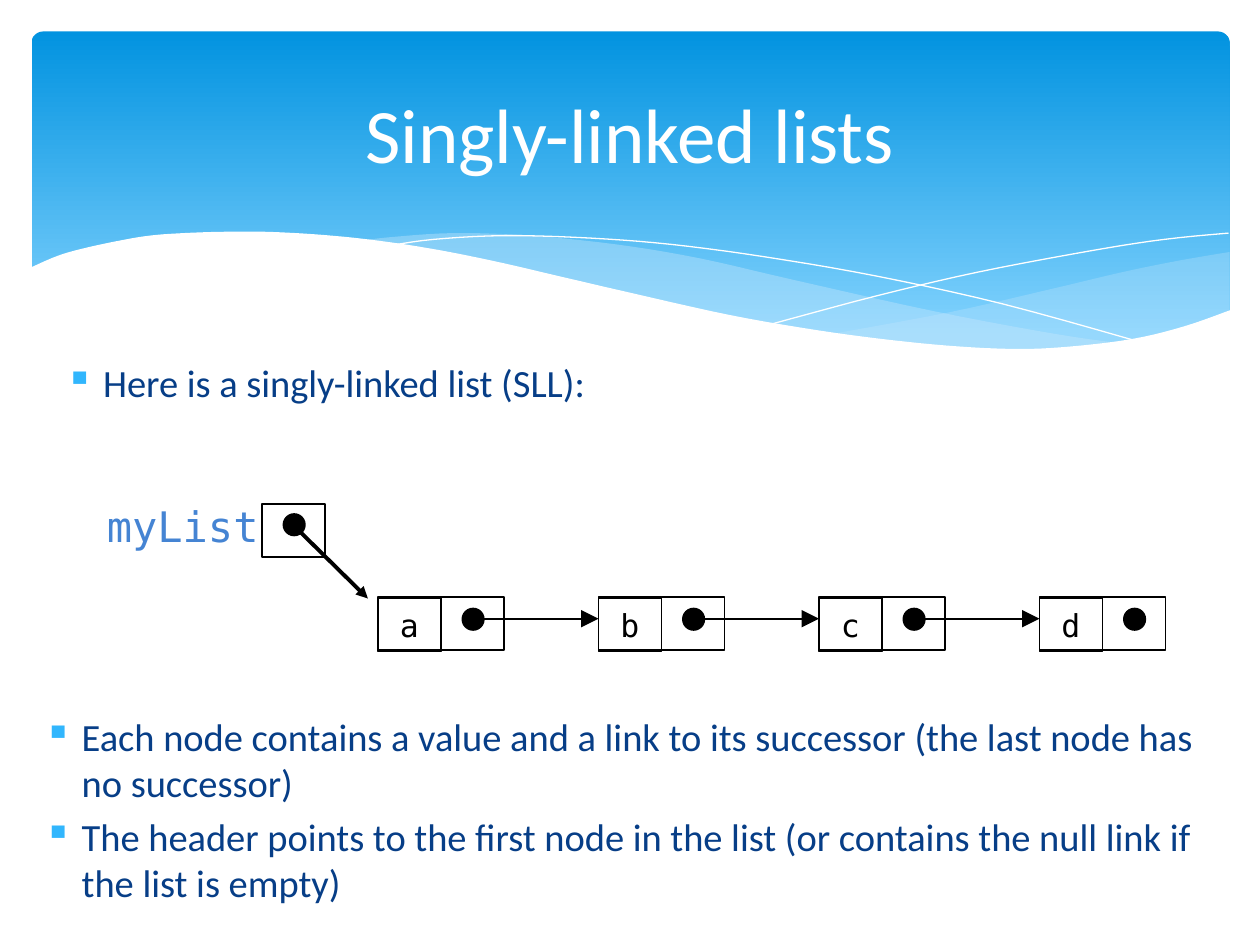
from lxml import etree
from pptx import Presentation
from pptx.dml.color import RGBColor
from pptx.enum.shapes import MSO_CONNECTOR, MSO_SHAPE
from pptx.enum.text import MSO_ANCHOR, PP_ALIGN
from pptx.oxml.ns import qn
from pptx.util import Emu, Pt

SCALE = 9144  # EMU in one px; 100 px to the inch
RECT, OVAL, ROUNDED = MSO_SHAPE.RECTANGLE, MSO_SHAPE.OVAL, MSO_SHAPE.ROUNDED_RECTANGLE
STRAIGHT = MSO_CONNECTOR.STRAIGHT
LEFT, CENTER = PP_ALIGN.LEFT, PP_ALIGN.CENTER
TOP, MIDDLE = MSO_ANCHOR.TOP, MSO_ANCHOR.MIDDLE
SANS, MONO = "Calibri", "DejaVu Sans Mono"
BLACK, WHITE, MIST, NAVY = "000000", "FFFFFF", "C6E7FC", "073E87"

TITLE = "Singly-linked lists"
BULLETS = [
    ((42, 280, 938, 78), ["Here is a singly-linked list (SLL):"]),
    ((25, 561, 938, 189), [
        "Each node contains a value and a link to its successor (the last node has no successor)",
        "The header points to the first node in the list (or contains the null link if the list is empty)",
    ]),
]
HEADER = "myList"
NODES = ["a", "b", "c", "d"]
NODE_LEFT, NODE_TOP, NODE_STEP = 300, 474, 175
CELL_WIDTH, CELL_HEIGHT, DOT = 50, 42, 17

# Each edge is a list of points that a smooth curve passes through.
RIGHT_SWELL = [
    ([(976, 200), (935, 207), (891, 216), (832, 230), (753, 248), (661, 265)], 29),
    ([(661, 265), (719, 272), (769, 277), (814, 278), (863, 275), (913, 267), (949, 257), (976, 247)], 29),
]
LONG_SWELL = [
    ([(893, 273), (837, 265), (741, 247), (629, 222), (555, 205), (489, 194),
      (420, 187), (361, 185), (313, 188), (286, 191)], 40),
    ([(286, 191), (342, 199), (404, 211), (491, 232), (584, 252), (650, 264),
      (722, 274), (785, 278), (838, 278), (893, 273)], 40),
]
CURVES = [
    [(309, 195), (344, 190), (401, 187), (469, 189), (533, 194), (608, 204),
     (695, 219), (795, 241), (907, 272)],
    [(613, 257), (695, 235), (776, 216), (866, 199), (924, 190), (975, 185)],
]
WHITE_EDGE = [
    (977, 246), (940, 259), (899, 269), (850, 275), (809, 277), (761, 275), (708, 270),
    (648, 262), (579, 250), (503, 233), (447, 220), (391, 207), (340, 197), (292, 190),
    (250, 186), (211, 184), (177, 184), (146, 185), (119, 187), (95, 191), (67, 197),
    (46, 203), (23, 213),
]


def px(value):
    return Emu(round(value * SCALE))


def colour(hex_string):
    return RGBColor.from_string(hex_string)


def smooth(points, steps=5):
    """Return a Catmull-Rom curve through the points, as short segments."""
    padded = [points[0], *points, points[-1]]
    curve = [points[0]]
    for a, b, c, d in zip(padded, padded[1:], padded[2:], padded[3:]):
        for step in range(1, steps + 1):
            t = step / steps
            curve.append(tuple(
                0.5 * (2 * q + (r - p) * t + (2 * p - 5 * q + 4 * r - s) * t ** 2
                       + (3 * q - p - 3 * r + s) * t ** 3)
                for p, q, r, s in zip(a, b, c, d)))
    return curve


def paint(shape, fill=None, line=None, width=1.0, opacity=100):
    shape.shadow.inherit = False
    if fill:
        shape.fill.solid()
        shape.fill.fore_color.rgb = colour(fill)
        if opacity < 100:
            tint = shape.fill._xPr.find(".//" + qn("a:srgbClr"))
            etree.SubElement(tint, qn("a:alpha"), val=str(opacity * 1000))
    else:
        shape.fill.background()
    if line:
        shape.line.color.rgb = colour(line)
        shape.line.width = Pt(width)
    else:
        shape.line.fill.background()


def add_outline(page, points, close=True, **style):
    builder = page.shapes.build_freeform(*map(round, (points[0][0] * SCALE, points[0][1] * SCALE)))
    builder.add_line_segments(
        [(round(x * SCALE), round(y * SCALE)) for x, y in points[1:]], close=close)
    paint(builder.convert_to_shape(), **style)


def add_box(page, kind, left, top, width, height, **style):
    box = page.shapes.add_shape(kind, px(left), px(top), px(width), px(height))
    paint(box, **style)
    return box


def add_dot(page, left, top):
    add_box(page, OVAL, left, top, DOT, DOT, fill=BLACK, line=BLACK)


def add_arrow(page, start, end, width, head):
    arrow = page.shapes.add_connector(STRAIGHT, *map(px, (*start, *end)))
    arrow.line.color.rgb = colour(BLACK)
    arrow.line.width = Pt(width)
    etree.SubElement(arrow.line._get_or_add_ln(), qn("a:tailEnd"), type="triangle", w=head, len=head)
    etree.SubElement(arrow._element.spPr, qn("a:effectLst"))


def write(box, lines, size, font, ink, align=LEFT, anchor=TOP, wrap=True, bullet=None):
    frame = box.text_frame
    frame.word_wrap = wrap
    frame.vertical_anchor = anchor
    for index, line in enumerate(lines):
        para = frame.paragraphs[0] if index == 0 else frame.add_paragraph()
        para.alignment = align
        if bullet:
            para.space_after = Pt(size * 0.2)
            add_bullet(para, bullet)
        span = para.add_run()
        span.text = line
        span.font.size = Pt(size)
        span.font.name = font
        span.font.color.rgb = colour(ink)


def add_bullet(para, ink):
    props = para._p.get_or_add_pPr()
    props.set("marL", str(px(30)))
    props.set("indent", str(px(-30)))
    tint = etree.SubElement(props, qn("a:buClr"))
    etree.SubElement(tint, qn("a:srgbClr"), val=ink)
    etree.SubElement(props, qn("a:buChar"), char="▪")


def add_text(page, place, lines, *style, **layout):
    write(page.shapes.add_textbox(*map(px, place)), lines, *style, **layout)


def draw_banner(page):
    band = add_box(page, ROUNDED, 25, 25, 951, 270)
    band.adjustments[0] = 0.034
    band.fill.gradient()
    band.fill.gradient_angle = 270
    for stop, (position, ink) in zip(band.fill.gradient_stops, [(0, "0293E0"), (0.9, "83D3FE")]):
        stop.position = position
        stop.color.rgb = colour(ink)
    for swell in (RIGHT_SWELL, LONG_SWELL):
        points = [point for edge, _ in swell for point in smooth(edge)]
        add_outline(page, points, fill=MIST, opacity=swell[0][1])
    for curve in CURVES:
        add_outline(page, smooth(curve), close=False, line=WHITE, width=0)
    add_outline(page, smooth(WHITE_EDGE) + [(23, 329), (977, 329)], fill=WHITE)


def draw_list(page):
    for index, value in enumerate(NODES):
        left = NODE_LEFT + index * NODE_STEP
        link = left + CELL_WIDTH
        for cell in (left, link):
            add_box(page, RECT, cell, NODE_TOP, CELL_WIDTH, CELL_HEIGHT, line=BLACK)
        label = add_box(page, RECT, left, NODE_TOP + 1, CELL_WIDTH, CELL_HEIGHT, line=BLACK)
        write(label, [value], 18, MONO, BLACK, align=CENTER, anchor=MIDDLE, wrap=False)
        add_dot(page, link + 17, NODE_TOP + 9)
        if index < len(NODES) - 1:
            add_arrow(page, (link + 25, NODE_TOP + 17), (left + NODE_STEP, NODE_TOP + 17), 1, "lg")
    add_dot(page, 225, 408)
    add_box(page, RECT, 208, 400, CELL_WIDTH, CELL_HEIGHT, line=BLACK)
    add_arrow(page, (233, 417), (292, 475), 2.25, "med")
    add_text(page, (75, 392, 142, 51), [HEADER], 24, MONO, "4584D3", wrap=False)


def main():
    deck = Presentation()
    deck.slide_width, deck.slide_height = px(1000), px(750)
    page = deck.slides.add_slide(deck.slide_layouts[6])
    draw_banner(page)
    add_text(page, (50, 37, 900, 137), [TITLE], 44, SANS, WHITE, align=CENTER, anchor=MIDDLE)
    for place, lines in BULLETS:
        add_text(page, place, lines, 22, SANS, NAVY, bullet="31B6FD")
    draw_list(page)
    deck.save("out.pptx")


if __name__ == "__main__":
    main()
